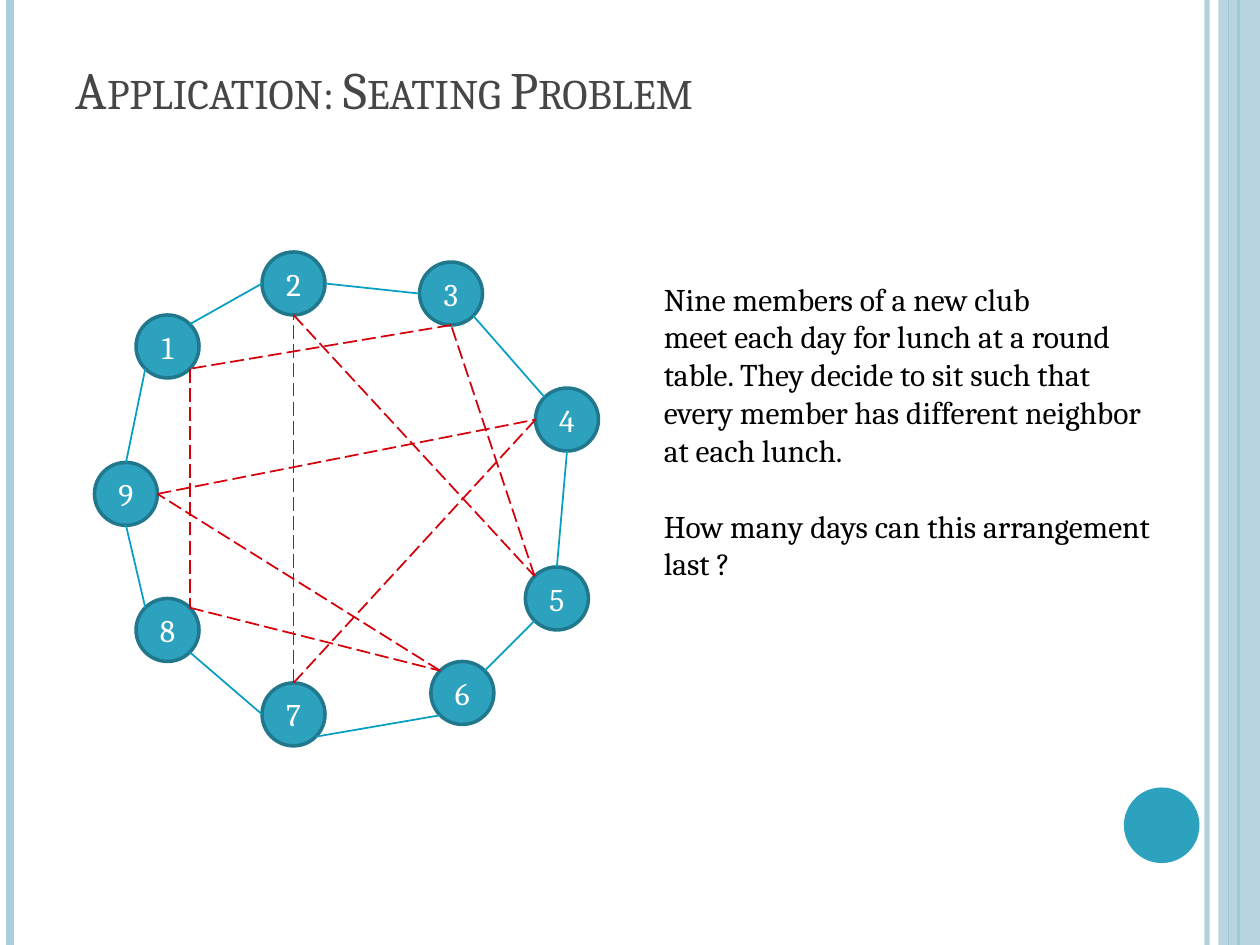
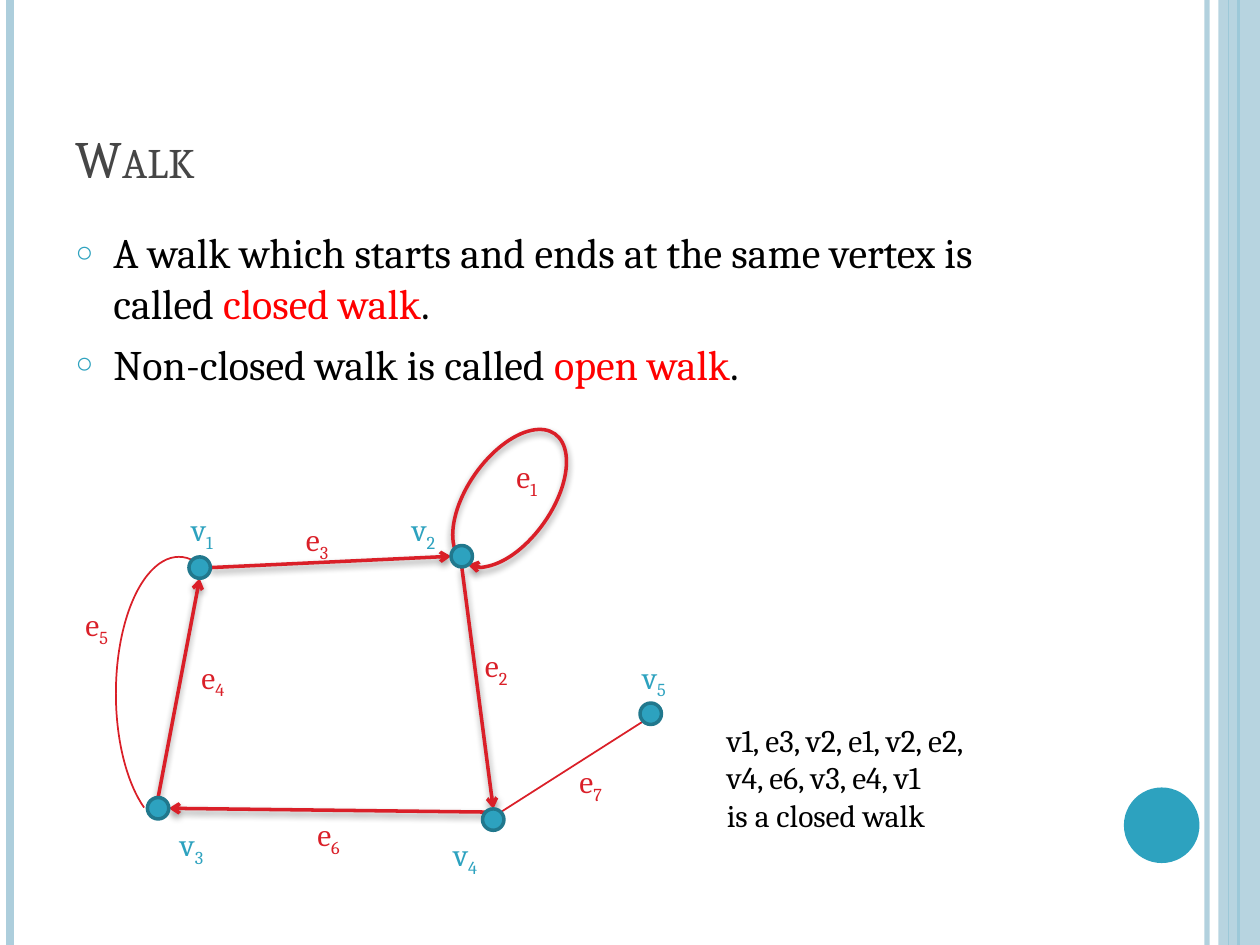
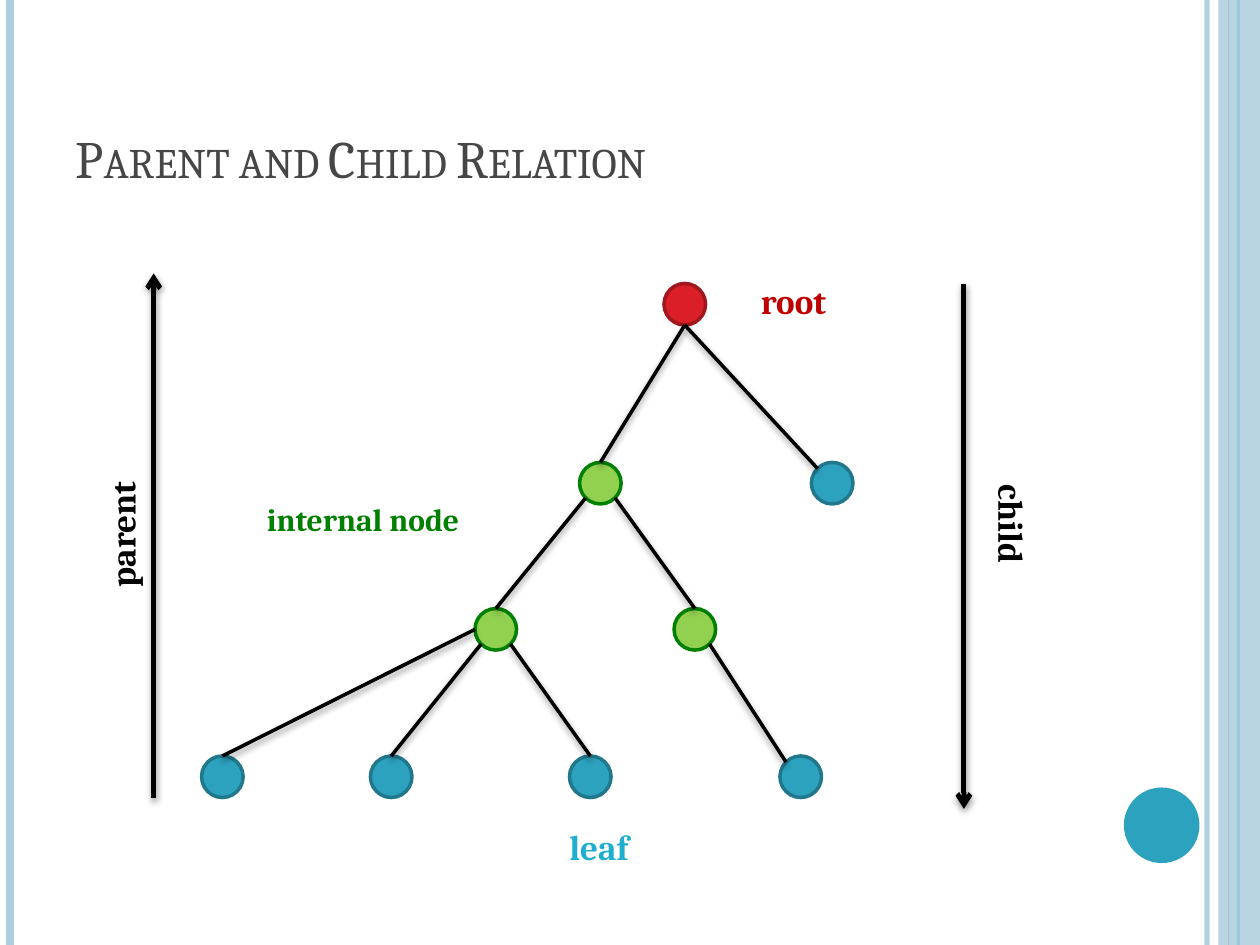
from dataclasses import dataclass
from itertools import pairwise
from math import sqrt

from lxml import etree
from pptx import Presentation
from pptx.dml.color import RGBColor
from pptx.enum import dml, shapes, text
from pptx.oxml.ns import qn
from pptx.util import Inches, Pt

FONT = "Cambria"
TEAL, DARK_TEAL, PALE = "2DA2BF", "21788D", "ADCEDC"
RED, DARK_RED, PURE_RED, CHORD_RED = "DA1F28", "A1171E", "FF0000", "D5000A"
GREEN, LIME, RING_BLUE = "008000", "92D050", "079EC3"
BLACK, WHITE, GREY = "000000", "FFFFFF", "464646"

DIAGONAL = sqrt(0.5)
COMPASS = {
    "n": (0, -1), "s": (0, 1), "e": (1, 0), "w": (-1, 0),
    "ne": (DIAGONAL, -DIAGONAL), "nw": (-DIAGONAL, -DIAGONAL),
    "se": (DIAGONAL, DIAGONAL), "sw": (-DIAGONAL, DIAGONAL),
}


@dataclass(frozen=True)
class Shadow:
    opacity: int
    distance: float
    blur: float = 4


@dataclass(frozen=True)
class Stroke:
    color: str
    width: float
    opacity: int = 100
    dashed: bool = False
    arrow: bool = False
    shadow: Shadow | None = None


@dataclass(frozen=True)
class Node:
    left: float
    top: float
    size: float
    fill: str = TEAL
    edge: str = DARK_TEAL
    label: str = ""

    def rim(self, side: str) -> tuple[float, float]:
        """Point of the circle in a compass direction."""
        dx, dy = COMPASS[side]
        r = self.size / 2
        return self.left + r + r * dx, self.top + r + r * dy


@dataclass(frozen=True)
class Label:
    text: str
    left: float
    top: float
    width: float
    height: float = 0.4
    color: str = BLACK
    size: float = 18
    bold: bool = False
    rotation: float = 0
    wrap: bool = False


NODE_SHADOW = Shadow(40, 2)
BOLD_RED = Stroke(RED, 2, arrow=True, shadow=NODE_SHADOW)
THIN_RED = Stroke(RED, 1)
BRANCH = Stroke(BLACK, 2, shadow=NODE_SHADOW)
DIRECTION = Stroke(BLACK, 2.75, arrow=True, shadow=Shadow(42, 1.6))
BANDS = [
    (9.58, Stroke(PALE, 3, opacity=93)),
    (0.08, Stroke(PALE, 4.5)),
    (9.83, Stroke(TEAL, 1.5)),
    (9.75, Stroke(TEAL, 0.75)),
]


def rgb(color: str) -> RGBColor:
    return RGBColor.from_string(color)


def sub(parent, tag: str, **attrs):
    return etree.SubElement(parent, qn(tag), {k: str(v) for k, v in attrs.items()})


def set_fill(fill, color: str, opacity: int = 100) -> None:
    fill.solid()
    fill.fore_color.rgb = rgb(color)
    if opacity < 100:
        clr = fill._xPr.find(qn("a:solidFill")).find(qn("a:srgbClr"))
        sub(clr, "a:alpha", val=opacity * 1000)


def set_stroke(sp, stroke: Stroke) -> None:
    """Format the outline, arrowhead and shadow of a shape or connector."""
    sp.line.width = Pt(stroke.width)
    set_fill(sp.line.fill, stroke.color, stroke.opacity)
    if stroke.dashed:
        sp.line.dash_style = dml.MSO_LINE.LONG_DASH
    if stroke.arrow:
        sub(sp.line._get_or_add_ln(), "a:tailEnd", type="arrow")
    props = sp._element.spPr
    effects = props.find(qn("a:effectLst"))
    if effects is None:
        effects = sub(props, "a:effectLst")
    if stroke.shadow:
        shadow = stroke.shadow
        outer = sub(effects, "a:outerShdw", blurRad=Pt(shadow.blur),
                    dist=Pt(shadow.distance), dir=90 * 60000, rotWithShape=0)
        clr = sub(outer, "a:srgbClr", val=BLACK)
        sub(clr, "a:alpha", val=shadow.opacity * 1000)


def set_font(r, color: str, size: float, bold: bool = False) -> None:
    r.font.name, r.font.size, r.font.bold = FONT, Pt(size), bold
    r.font.color.rgb = rgb(color)


def add_line(slide, start: tuple, end: tuple, stroke: Stroke) -> None:
    line = slide.shapes.add_connector(
        shapes.MSO_CONNECTOR.STRAIGHT, *(Inches(v) for v in (*start, *end)))
    set_stroke(line, stroke)


def add_preset(slide, preset, left: float, top: float, width: float, height: float):
    sp = slide.shapes.add_shape(
        preset, Inches(left), Inches(top), Inches(width), Inches(height))
    sp.shadow.inherit = False
    return sp


def add_arc(slide, box: tuple, angles: tuple, stroke: Stroke, rotation: float = 0) -> None:
    arc = add_preset(slide, shapes.MSO_SHAPE.ARC, *box)
    arc.adjustments[0], arc.adjustments[1] = angles
    arc.rotation = rotation
    arc.fill.background()
    set_stroke(arc, stroke)


def add_node(slide, node: Node) -> None:
    sp = add_preset(slide, shapes.MSO_SHAPE.OVAL, node.left, node.top, node.size, node.size)
    set_fill(sp.fill, node.fill)
    set_stroke(sp, Stroke(node.edge, 2))
    if node.label:
        tf = sp.text_frame
        tf.text = node.label
        tf.vertical_anchor = text.MSO_ANCHOR.MIDDLE
        p = tf.paragraphs[0]
        p.alignment = text.PP_ALIGN.CENTER
        set_font(p.runs[0], WHITE, 18)


def add_edge(slide, nodes: dict[str, Node], start: str, end: str, stroke: Stroke) -> None:
    """Join two rim points, each a node key followed by a compass side."""
    add_line(slide, nodes[start[0]].rim(start[1:]), nodes[end[0]].rim(end[1:]), stroke)


def add_edges(slide, nodes: dict[str, Node], edges: str, stroke: Stroke) -> None:
    for edge in edges.split():
        add_edge(slide, nodes, *edge.split("-"), stroke)


def add_label(slide, label: Label):
    box = slide.shapes.add_textbox(Inches(label.left), Inches(label.top),
                                   Inches(label.width), Inches(label.height))
    box.rotation = label.rotation
    tf = box.text_frame
    tf.text = label.text
    tf.word_wrap = label.wrap
    tf.auto_size = text.MSO_AUTO_SIZE.SHAPE_TO_FIT_TEXT
    for p in tf.paragraphs:
        for r in p.runs:
            set_font(r, label.color, label.size, label.bold)
    return tf


def add_indexed_label(slide, letter: str, index: int, left: float, top: float,
                      color: str) -> None:
    tf = add_label(slide, Label(letter, left, top, 0.45, color=color))
    r = tf.paragraphs[0].add_run()
    r.text = str(index)
    set_font(r, color, 18)
    r.font._element.set("baseline", "-25000")


def place(sp, left: float, top: float, width: float, height: float) -> None:
    sp.left, sp.top = Inches(left), Inches(top)
    sp.width, sp.height = Inches(width), Inches(height)


def add_slide(prs, title: str, layout: int = 5, title_height: float = 1.25):
    """Start a slide with the shared bands and title style."""
    slide = prs.slides.add_slide(prs.slide_layouts[layout])
    for x, stroke in BANDS:
        add_line(slide, (x, 0), (x, 7.5), stroke)
    band = add_preset(slide, shapes.MSO_SHAPE.RECTANGLE, 9.67, 0, 0.33, 7.5)
    set_fill(band.fill, PALE, 87)
    disc = add_preset(slide, shapes.MSO_SHAPE.OVAL, 8.92, 6.25, 0.6, 0.6)
    set_fill(disc.fill, TEAL)
    for sp in (band, disc):
        sp.line.fill.background()

    heading = slide.shapes.title
    place(heading, 0.5, 0.3, 8.17, title_height)
    tf = heading.text_frame
    tf.text = title
    tf.vertical_anchor = text.MSO_ANCHOR.BOTTOM
    tf.auto_size = text.MSO_AUTO_SIZE.NONE
    p = tf.paragraphs[0]
    p.alignment = text.PP_ALIGN.LEFT
    set_font(p.runs[0], GREY, 30)
    p.runs[0].font._element.set("cap", "small")
    return slide


def fill_bullets(body, items: list[list[tuple[str, str]]]) -> None:
    """Write bullets made of (text, colour) runs."""
    tf = body.text_frame
    tf.auto_size = text.MSO_AUTO_SIZE.NONE
    for i, runs in enumerate(items):
        p = tf.add_paragraph() if i else tf.paragraphs[0]
        props = p._p.get_or_add_pPr()
        props.set("marL", str(Inches(0.3)))
        props.set("indent", str(Inches(-0.3)))
        sub(sub(props, "a:buClr"), "a:srgbClr", val=TEAL)
        sub(props, "a:buSzPct", val=70000)
        sub(props, "a:buChar", char="○")
        p.space_before = Pt(6 if i else 0)
        for content, color in runs:
            r = p.add_run()
            r.text = content
            set_font(r, color, 24)


def seating_slide(prs) -> None:
    slide = add_slide(prs, "Application: Seating Problem", title_height=0.7)
    seats = [(1.08, 2.5), (2.08, 2), (3.33, 2.08), (4.25, 3.08), (4.17, 4.5),
             (3.42, 5.25), (2.08, 5.42), (1.08, 4.75), (0.75, 3.67)]
    members = {str(i): Node(x, y, 0.5, label=str(i))
               for i, (x, y) in enumerate(seats, 1)}
    for node in members.values():
        add_node(slide, node)
    add_edges(slide, members,
              "9n-1sw 1ne-2w 2e-3w 3se-4nw 5n-4s 6ne-5sw 9s-8nw 8se-7w 7se-6sw",
              Stroke(RING_BLUE, 1))
    next_lunch = "1se 8ne 6nw 9e 4w 7n 2s 5nw 3s 1se".split()
    for start, end in pairwise(next_lunch):
        add_edge(slide, members, start, end, Stroke(CHORD_RED, 1, dashed=True))
    tf = add_label(slide, Label(
        "Nine members of a new club\n"
        "meet each day for lunch at a round table. They decide to sit such that "
        "every member has different neighbor at each lunch.\n"
        "How many days can this arrangement last ?",
        5.17, 2.17, 4.17, 2.83, wrap=True))
    tf.paragraphs[2].space_before = Pt(21.7)


def walk_slide(prs) -> None:
    slide = add_slide(prs, "Walk", layout=1)
    body = slide.placeholders[1]
    place(body, 0.5, 1.75, 8.17, 5.33)
    fill_bullets(body, [
        [("A walk which starts and ends at the same vertex is called ", BLACK),
         ("closed walk", PURE_RED), (".", BLACK)],
        [("Non-closed walk is called ", BLACK), ("open walk", PURE_RED), (".", BLACK)],
    ])
    spots = [(1.5, 4.42), (3.58, 4.33), (1.17, 6.33), (3.83, 6.42), (5.08, 5.58)]
    vertices = {str(i): Node(x, y, 0.17) for i, (x, y) in enumerate(spots, 1)}
    add_edges(slide, vertices, "3n-1s 2s-4n 1e-2w 4nw-3e", BOLD_RED)
    add_edges(slide, vertices, "4ne-5sw", THIN_RED)
    add_arc(slide, (3.71, 3.33, 0.67, 1.25), (60.96, 52.27), BOLD_RED, rotation=35)
    add_arc(slide, (0.92, 4.42, 1, 2.17), (64.17, 170.63), THIN_RED)

    vertex_labels = [(1.42, 4), (3.17, 4), (1.33, 6.5), (3.5, 6.58), (5, 5.17)]
    edge_labels = [(4, 3.58), (3.75, 5.08), (2.33, 4.08), (1.5, 5.17),
                   (0.58, 4.75), (2.42, 6.42), (4.5, 6)]
    for letter, color, places in (("v", TEAL, vertex_labels), ("e", RED, edge_labels)):
        for i, (x, y) in enumerate(places, 1):
            add_indexed_label(slide, letter, i, x, y, color)
    for node in vertices.values():
        add_node(slide, node)
    add_label(slide, Label(
        "v1, e3, v2, e1, v2, e2,\nv4, e6, v3, e4, v1\nis a closed walk",
        5.67, 5.67, 3.04, 1.01))


def tree_slide(prs) -> None:
    slide = add_slide(prs, "Parent and Child Relation")
    size = 0.33
    tree = {"r": Node(5.27, 2.25, size, RED, DARK_RED)}
    for key, x, y in (("a", 4.6, 3.67), ("c", 3.77, 4.83), ("d", 5.35, 4.83)):
        tree[key] = Node(x, y, size, LIME, GREEN)
    for key, x, y in (("b", 6.44, 3.67), ("e", 1.6, 6), ("f", 2.94, 6),
                      ("g", 4.52, 6), ("h", 6.19, 6)):
        tree[key] = Node(x, y, size)
    for node in tree.values():
        add_node(slide, node)
    add_edges(slide, tree, "rs-an rs-bnw asw-cn ase-dn cw-en csw-fn cse-gn dse-hnw", BRANCH)
    add_line(slide, (7.65, 2.25), (7.65, 6.42), DIRECTION)
    add_line(slide, (1.22, 6.33), (1.22, 2.17), DIRECTION)
    for label in (
        Label("root", 5.94, 2.17, 0.82, 0.44, "C00000", 20, True),
        Label("leaf", 4.42, 6.5, 0.75, 0.44, "1FAECD", 20, True),
        Label("internal node", 2.02, 3.92, 1.99, 0.4, GREEN, 18, True),
        Label("child", 7.58, 3.98, 0.9, 0.44, BLACK, 20, True, rotation=90),
        Label("parent", 0.38, 3.95, 1.18, 0.44, BLACK, 20, True, rotation=270, wrap=True),
    ):
        add_label(slide, label)


def main() -> None:
    prs = Presentation()
    prs.slide_width, prs.slide_height = Inches(10), Inches(7.5)
    seating_slide(prs)
    walk_slide(prs)
    tree_slide(prs)
    prs.save("out.pptx")


if __name__ == "__main__":
    main()
